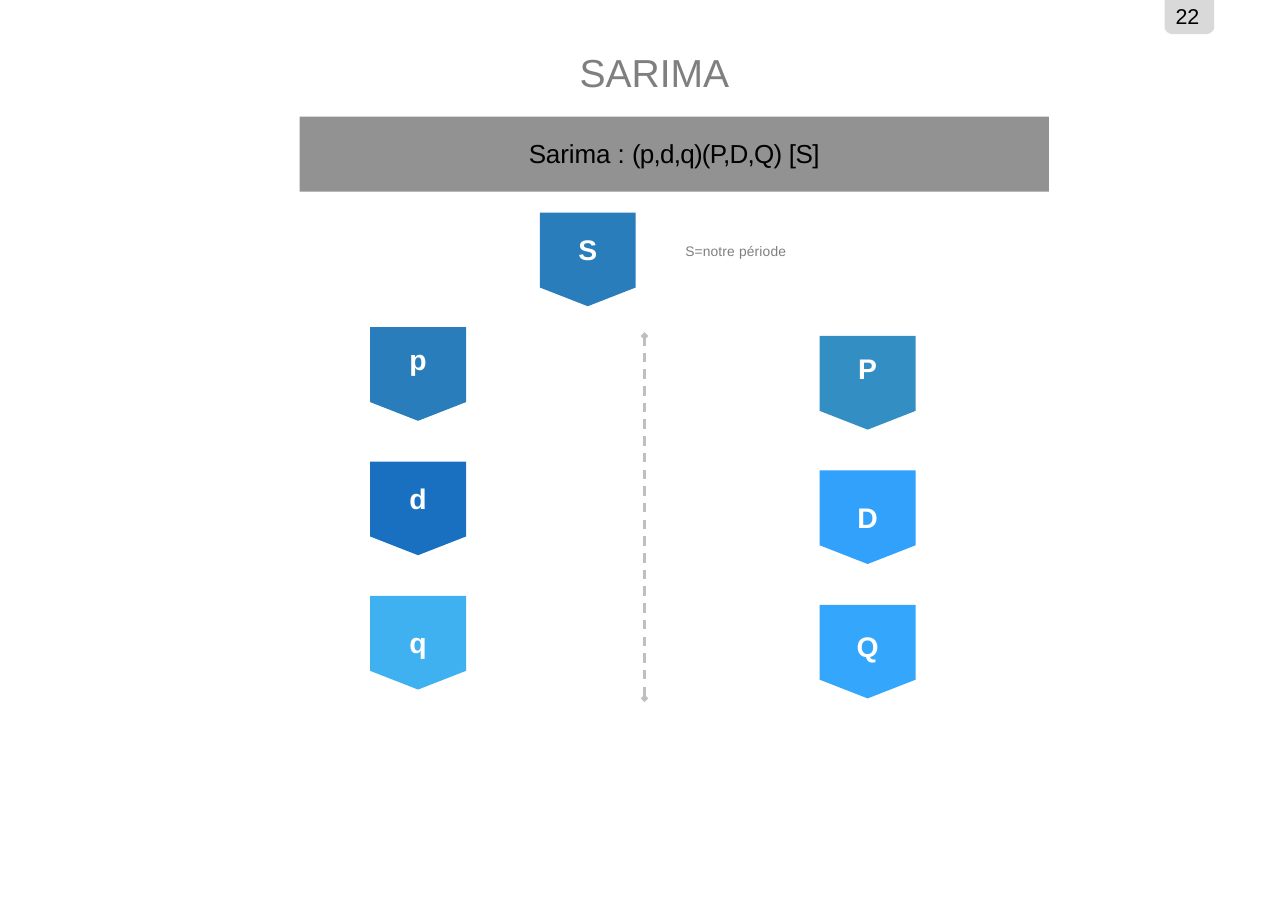
from pptx import Presentation
from pptx.dml.color import RGBColor
from pptx.enum.dml import MSO_LINE
from pptx.enum.shapes import MSO_CONNECTOR, MSO_SHAPE
from pptx.enum.text import MSO_ANCHOR, MSO_AUTO_SIZE, PP_ALIGN
from pptx.oxml.ns import qn
from pptx.util import Inches, Pt
from lxml import etree

COLORS = {
    "gray": "7F7F7F", "tab": "D9D9D9", "banner": "929292", "divider": "BFBFBF",
    "black": "000000", "white": "FFFFFF", "steel": "287DBA", "royal": "1A70C0",
    "sky": "3FB1F1", "teal": "328EC3", "azure": "31A1FB", "bright": "34A6FB",
}

TITLE = "SARIMA"
PAGE_NUMBER = "22"
PERIOD_NOTE = "S=notre période"
# text, letter spacing in points
FORMULA = [("Sarima ", -0.1), (": ", 0), ("(p,d,q)(P,D,Q) ", -0.5), ("[S]", -0.3)]

# left, top of the first badge, then (letter, color, letter offset, letter spacing)
BADGE_COLUMNS = [
    (4.9, 1.93, [("S", "steel", 0.16, -0.3)]),
    (3.36, 2.97, [("p", "steel", 0.12, 0.1), ("d", "royal", 0.16, 0.1),
                  ("q", "sky", 0.25, 0.1)]),
    (7.44, 3.05, [("P", "teal", 0.12, 0.1), ("D", "azure", 0.25, 0.4),
                  ("Q", "bright", 0.2, 0.1)]),
]
BADGE_PITCH = 1.22
BADGE_WIDTH = 0.87
BADGE_OUTLINE = [(0, 0), (BADGE_WIDTH, 0), (BADGE_WIDTH, 0.68),
                 (BADGE_WIDTH / 2, 0.85), (0, 0.68)]
LETTER_WIDTH = 0.3

TAB_OUTLINE = [(0, 0), (0.45, 0), (0.45, 0.26), (0.43, 0.29), (0.39, 0.31),
               (0.06, 0.31), (0.02, 0.29), (0, 0.26)]
DIAMOND_SIZE = 0.07
DIVIDER_X, DIVIDER_TOP, DIVIDER_BOTTOM = 5.85, 3.05, 6.34


def color(name):
    return RGBColor.from_string(COLORS[name])


def paint(shape, fill):
    shape.shadow.inherit = False
    shape.fill.solid()
    shape.fill.fore_color.rgb = color(fill)
    shape.line.fill.background()


def add_outline(slide, left, top, points, fill):
    corners = [(Inches(left + x), Inches(top + y)) for x, y in points]
    builder = slide.shapes.build_freeform(*corners[0])
    builder.add_line_segments(corners[1:], close=True)
    paint(builder.convert_to_shape(), fill)


def write(shape, runs, size, ink, bold=False, align=PP_ALIGN.LEFT, top_inset=0.02):
    """Fill a shape with one paragraph of (text, letter spacing) runs."""
    frame = shape.text_frame
    frame.word_wrap = True
    frame.auto_size = MSO_AUTO_SIZE.NONE
    frame.vertical_anchor = MSO_ANCHOR.TOP
    frame.margin_left = frame.margin_right = frame.margin_bottom = 0
    frame.margin_top = Inches(top_inset)
    para = frame.paragraphs[0]
    para.alignment = align
    for text, spacing in runs:
        span = para.add_run()
        span.text = text
        span.font.name = "Arial"
        span.font.size = Pt(size)
        span.font.bold = bold
        span.font.color.rgb = color(ink)
        span._r.get_or_add_rPr().set("spc", str(round(spacing * 100)))


def add_text(slide, left, top, width, height, runs, size, ink, **style):
    box = slide.shapes.add_textbox(*map(Inches, (left, top, width, height)))
    write(box, runs, size, ink, **style)


def add_badge(slide, left, top, letter, fill, offset, spacing):
    add_outline(slide, left, top, BADGE_OUTLINE, fill)
    add_text(slide, left + (BADGE_WIDTH - LETTER_WIDTH) / 2, top + offset,
             LETTER_WIDTH, 0.34, [(letter, spacing)], 18.5, "white",
             bold=True, align=PP_ALIGN.CENTER)


def add_divider(slide):
    line = slide.shapes.add_connector(
        MSO_CONNECTOR.STRAIGHT, Inches(DIVIDER_X), Inches(DIVIDER_TOP),
        Inches(DIVIDER_X), Inches(DIVIDER_BOTTOM))
    line.line.color.rgb = color("divider")
    line.line.width = Pt(1.55)
    line.line.dash_style = MSO_LINE.DASH
    etree.SubElement(line._element.spPr, qn("a:effectLst"))
    for y in (DIVIDER_TOP, DIVIDER_BOTTOM):
        diamond = slide.shapes.add_shape(
            MSO_SHAPE.DIAMOND, Inches(DIVIDER_X - DIAMOND_SIZE / 2),
            Inches(y - DIAMOND_SIZE / 2), Inches(DIAMOND_SIZE), Inches(DIAMOND_SIZE))
        paint(diamond, "divider")


def main():
    deck = Presentation()
    deck.slide_width, deck.slide_height = Inches(11.69), Inches(8.27)
    slide = deck.slides.add_slide(deck.slide_layouts[5])

    title = slide.shapes.title
    title.left, title.top = Inches(5.26), Inches(0.42)
    title.width, title.height = Inches(1.4), Inches(0.45)
    write(title, [(TITLE, 0)], 25.5, "gray")

    add_outline(slide, 10.57, 0, TAB_OUTLINE, "tab")
    add_text(slide, 10.67, 0.02, 0.25, 0.25, [(PAGE_NUMBER, -0.1)], 14, "black",
             top_inset=0.01)

    banner = slide.shapes.add_shape(
        MSO_SHAPE.RECTANGLE, Inches(2.72), Inches(1.06), Inches(6.8), Inches(0.68))
    paint(banner, "banner")
    write(banner, FORMULA, 17, "black", align=PP_ALIGN.CENTER, top_inset=0.19)

    for left, first_top, badges in BADGE_COLUMNS:
        for row, badge in enumerate(badges):
            add_badge(slide, left, first_top + row * BADGE_PITCH, *badge)

    add_text(slide, 6.22, 2.18, 1, 0.18, [(PERIOD_NOTE, 0.1)], 9, "gray")
    add_divider(slide)
    deck.save("out.pptx")


if __name__ == "__main__":
    main()
